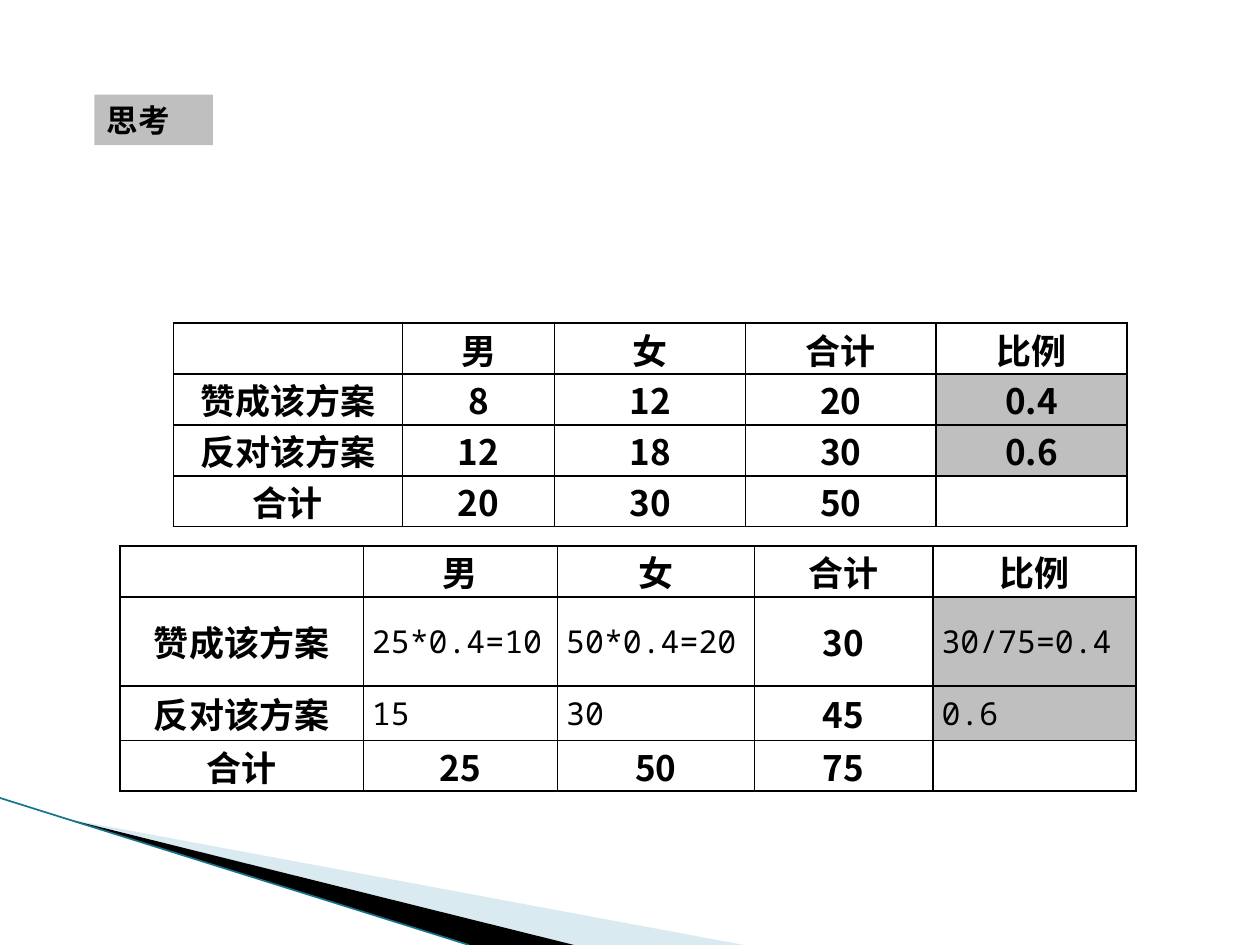
from lxml.etree import SubElement
from pptx import Presentation
from pptx.dml.color import RGBColor
from pptx.enum.shapes import MSO_CONNECTOR, MSO_SHAPE
from pptx.enum.text import MSO_ANCHOR, PP_ALIGN
from pptx.oxml import parse_xml
from pptx.oxml.ns import nsdecls, qn
from pptx.util import Pt

BLACK, GREY = "000000", "BFBFBF"
SERIF, SANS, MONO = "Times New Roman", "Noto Sans CJK SC", "Noto Sans Mono"
HEAD = ["", "男", "女", "合计", "比例"]
SURVEY = [
    HEAD,
    ["赞成该方案", "8", "12", "20", "0.4"],
    ["反对该方案", "12", "18", "30", "0.6"],
    ["合计", "20", "30", "50", ""],
]
SAMPLE = [
    HEAD,
    ["赞成该方案", "25*0.4=10", "50*0.4=20", "30", "30/75=0.4"],
    ["反对该方案", "15", "30", "45", "0.6"],
    ["合计", "25", "50", "75", ""],
]
ANSWERS = {(row, col) for row in (1, 2) for col in (1, 2, 4)}


def color(code):
    return RGBColor.from_string(code)


def style(font, name, size, bold):
    font.name, font.size, font.bold = name, Pt(size), bold
    font.color.rgb = color(BLACK)


def add_wedge(slide, points, fill, alpha=100):
    start, *rest = [(Pt(x), Pt(y)) for x, y in points]
    outline = slide.shapes.build_freeform(*start, scale=1.0)
    outline.add_line_segments(rest, close=True)
    wedge = outline.convert_to_shape()
    wedge.shadow.inherit = False
    wedge.fill.solid()
    wedge.fill.fore_color.rgb = color(fill)
    wedge.line.fill.background()
    if alpha < 100:
        tint = wedge.fill._xPr.find(".//" + qn("a:srgbClr"))
        SubElement(tint, qn("a:alpha"), val=str(alpha * 1000))


def add_corner(slide, left, top, width, height):
    """Draw the swoosh that runs from the left edge to the bottom edge."""
    base = top + height
    tip = left + 38.5, top + 12
    add_wedge(slide, [tip, (left + width, base), (left + 328, base)], "A0CBDC", 40)
    add_wedge(slide, [tip, (left + 328, base), (left + 268, base)], BLACK)
    edge = slide.shapes.add_connector(
        MSO_CONNECTOR.STRAIGHT, Pt(left), Pt(top), Pt(left + 268), Pt(base))
    edge.line.color.rgb = color("16738A")
    edge.line.width = Pt(0.95)
    SubElement(edge._element.spPr, qn("a:effectLst"))


def add_label(slide, left, top, width, height, text):
    label = slide.shapes.add_shape(
        MSO_SHAPE.RECTANGLE, Pt(left), Pt(top), Pt(width), Pt(height))
    label.shadow.inherit = False
    label.fill.solid()
    label.fill.fore_color.rgb = color(GREY)
    label.line.fill.background()
    frame = label.text_frame
    frame.text = text
    frame.vertical_anchor = MSO_ANCHOR.TOP
    frame.paragraphs[0].alignment = PP_ALIGN.LEFT
    style(frame.paragraphs[0].runs[0].font, SANS, 18, True)


def add_borders(cell):
    for place, side in enumerate("LRTB"):
        cell._tc.get_or_add_tcPr().insert(place, parse_xml(
            f'<a:ln{side} {nsdecls("a")} w="12700"><a:solidFill>'
            f'<a:srgbClr val="{BLACK}"/></a:solidFill></a:ln{side}>'))


def fill_cell(cell, text, name, answer, shaded):
    cell.text = text
    cell.vertical_anchor = MSO_ANCHOR.MIDDLE
    cell.margin_left = cell.margin_right = Pt(5)
    cell.margin_top = cell.margin_bottom = 0
    line = cell.text_frame.paragraphs[0]
    line.alignment = PP_ALIGN.LEFT if answer else PP_ALIGN.CENTER
    if text:
        style(line.runs[0].font, name, 18 if answer else 20, not answer)
    else:
        line.font.size = Pt(18)
    if shaded:
        cell.fill.solid()
        cell.fill.fore_color.rgb = color(GREY)
    else:
        cell.fill.background()
    add_borders(cell)


def add_grid(slide, left, top, widths, heights, data, answers=()):
    """Draw a bordered table; answers holds the cells set in plain mono type."""
    table = slide.shapes.add_table(
        len(heights), len(widths), Pt(left), Pt(top),
        Pt(sum(widths)), Pt(sum(heights))).table
    table.first_row = table.horz_banding = False
    for column, width in zip(table.columns, widths):
        column.width = Pt(width)
    for row, height in zip(table.rows, heights):
        row.height = Pt(height)
    last = len(widths) - 1
    for r, texts in enumerate(data):
        for c, text in enumerate(texts):
            answer = (r, c) in answers
            title = c == 0 or (r == 0 and c < last)
            name = MONO if answer else SERIF if title else SANS
            fill_cell(table.cell(r, c), text, name, answer,
                      c == last and r in (1, 2))


def main():
    deck = Presentation()
    deck.slide_width, deck.slide_height = Pt(720), Pt(540)
    slide = deck.slides.add_slide(deck.slide_layouts[6])
    add_corner(slide, 0, 456, 425, 84)
    add_grid(slide, 99, 184.7, [131, 87, 109, 109, 109], [29] * 4, SURVEY)
    add_label(slide, 54, 54, 67.7, 29, "思考")
    add_grid(slide, 68.6, 312, [139, 111, 112.5, 102, 116],
             [28, 51, 31, 28], SAMPLE, ANSWERS)
    deck.save("out.pptx")


if __name__ == "__main__":
    main()
